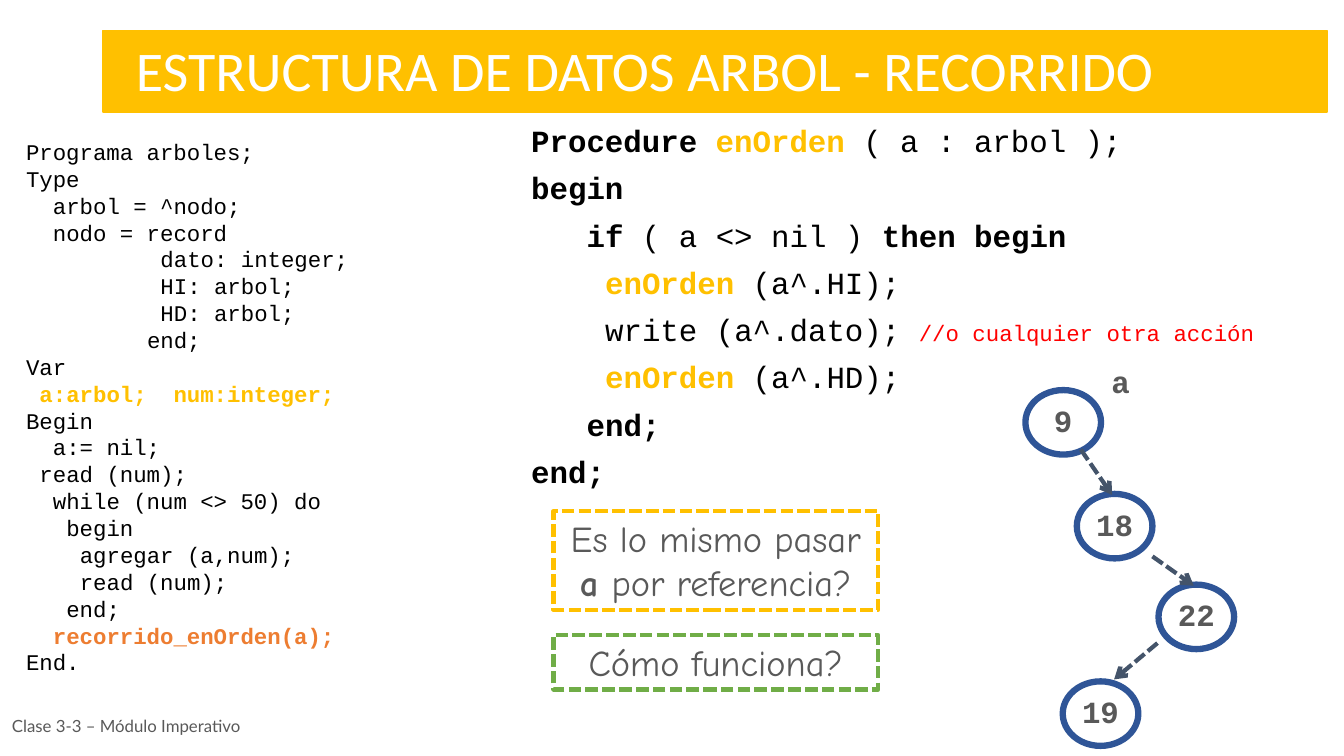
from lxml import etree
from pptx import Presentation
from pptx import util as u
from pptx.dml.color import RGBColor
from pptx.enum import dml, shapes, text
from pptx.oxml import ns

PX = 9144  # 100 px to the inch
WHITE = RGBColor(0xFF, 0xFF, 0xFF)
BLACK = RGBColor(0, 0, 0)
GRAY = RGBColor(0x59, 0x59, 0x59)
GOLD = RGBColor(0xFF, 0xC0, 0x00)
ORANGE = RGBColor(0xED, 0x7D, 0x31)
RED = RGBColor(0xFF, 0, 0)
GREEN = RGBColor(0x70, 0xAD, 0x47)
NAVY = RGBColor(0x2F, 0x55, 0x97)
SLATE = RGBColor(0x44, 0x54, 0x6A)
CODE_FONT = "Courier New"
CHARACTER_WIDTH = 0.6  # Courier New advance, in ems
ALIGN = text.PP_ALIGN

# Each code line: indent in characters, then runs (text, format changes)
GOLD_BOLD = {"color": GOLD, "bold": True}
BOLD = {"bold": True}
PROGRAM = [
    (0, [("Programa arboles;", {})]),
    (0, [("Type", {})]),
    (2, [("arbol = ^nodo;", {})]),
    (2, [("nodo = record", {})]),
    (10, [("dato: integer;", {})]),
    (10, [("HI: arbol;", {})]),
    (10, [("HD: arbol;", {})]),
    (9, [("end;", {})]),
    (0, [("Var", {})]),
    (1, [("a:arbol;  num:integer;", GOLD_BOLD)]),
    (0, [("Begin", {})]),
    (2, [("a:= nil;", {})]),
    (1, [("read (num);", {})]),
    (2, [("while (num <> 50) do", {})]),
    (3, [("begin", {})]),
    (4, [("agregar (a,num);", {})]),
    (4, [("read (num);", {})]),
    (3, [("end;", {})]),
    (2, [("recorrido_enOrden(a);", {"color": ORANGE, "bold": True})]),
    (0, [("End.", {})]),
]
PROCEDURE = [
    (0, [("Procedure ", BOLD), ("enOrden", GOLD_BOLD), (" ( a : arbol );", {})]),
    (0, [("begin", BOLD)]),
    (3, [("if", BOLD), (" ( a <> nil ) ", {}), ("then begin", BOLD)]),
    (4, [("enOrden", GOLD_BOLD), (" (a^.HI);", {})]),
    (4, [("write (a^.dato); ", {}),
         ("//o cualquier otra acción", {"color": RED, "size": 16})]),
    (4, [("enOrden", GOLD_BOLD), (" (a^.HD);", {})]),
    (3, [("end;", BOLD)]),
    (0, [("end;", BOLD)]),
]
NODES = [("9", 0, 28), ("18", 51, 131), ("22", 132, 221), ("19", 37, 317)]
LINKS = [(55, 87, 86, 132), (126, 193, 167, 222), (131, 279, 88, 315)]


def emu(*lengths):
    return [u.Emu(length * PX) for length in lengths]


def write(shape, lines, font, size, color, anchor=text.MSO_ANCHOR.TOP, **paragraph_format):
    """Fill a shape with lines of (indent in characters, runs)."""
    frame = shape.text_frame
    frame.word_wrap = True
    frame.vertical_anchor = anchor
    for index, (indent, runs) in enumerate(lines):
        paragraph = frame.paragraphs[0] if index == 0 else frame.add_paragraph()
        for name, value in paragraph_format.items():
            if index or name != "space_before":
                setattr(paragraph, name, value)
        if indent:
            margin = u.Pt(indent * size * CHARACTER_WIDTH)
            paragraph._p.get_or_add_pPr().set("marL", str(margin))
        for words, changes in runs:
            run = paragraph.add_run()
            run.text = words
            style = {"name": font, "size": size, "bold": False, "color": color} | changes
            run.font.color.rgb = style.pop("color")
            style["size"] = u.Pt(style["size"])
            for name, value in style.items():
                setattr(run.font, name, value)


def add_text(slide, box, lines, *style, **options):
    write(slide.shapes.add_textbox(*emu(*box)), lines, *style, **options)


def add_outline(slide, kind, box, color, width):
    shape = slide.shapes.add_shape(kind, *emu(*box))
    shape.shadow.inherit = False
    shape.fill.background()
    shape.line.color.rgb = color
    shape.line.width = u.Pt(width)
    return shape


def add_title(slide, box):
    left, top, width, height = box
    bar = add_outline(slide, shapes.MSO_SHAPE.RECTANGLE, box, GOLD, 1)
    bar.fill.solid()
    bar.fill.fore_color.rgb = GOLD
    add_text(slide, (left + 23, top, width - 48, height - 4),
             [(0, [("ESTRUCTURA DE DATOS ARBOL - RECORRIDO", {})])], "Calibri", 40, WHITE)


def add_question(slide, box, color, runs):
    shape = add_outline(slide, shapes.MSO_SHAPE.RECTANGLE, box, color, 3)
    shape.line.dash_style = dml.MSO_LINE.SQUARE_DOT
    write(shape, [(0, runs)], "Comic Neue", 26, GRAY, alignment=ALIGN.CENTER)


def add_link(slide, start_x, start_y, end_x, end_y):
    """Dashed arrow from a parent node to its child."""
    link = slide.shapes.add_connector(shapes.MSO_CONNECTOR.STRAIGHT,
                                      *emu(start_x, start_y, end_x, end_y))
    link.line.color.rgb = SLATE
    link.line.width = u.Pt(3)
    link.line.dash_style = dml.MSO_LINE.SQUARE_DOT
    etree.SubElement(link.line._get_or_add_ln(), ns.qn("a:tailEnd"), type="arrow")
    etree.SubElement(link._element.spPr, ns.qn("a:effectLst"))


def add_tree(slide, left, top):
    style = {"alignment": ALIGN.CENTER, "line_spacing": 0.9}
    add_text(slide, (left + 58, top, 73, 49), [(0, [("a", BOLD)])],
             CODE_FONT, 22, GRAY, **style)
    for value, x, y in NODES:
        node = add_outline(slide, shapes.MSO_SHAPE.OVAL, (left + x, top + y, 75, 64), NAVY, 4.5)
        for side in ("left", "top", "right", "bottom"):
            setattr(node.text_frame, f"margin_{side}", 0)
        write(node, [(0, [(value, BOLD)])], CODE_FONT, 22, GRAY,
              text.MSO_ANCHOR.MIDDLE, **style)
    for start_x, start_y, end_x, end_y in LINKS:
        add_link(slide, left + start_x, top + start_y, left + end_x, top + end_y)


def main():
    presentation = Presentation()
    presentation.slide_width, presentation.slide_height = emu(1333, 750)
    slide = presentation.slides.add_slide(presentation.slide_layouts[6])
    add_text(slide, (2, 698, 297, 45), [(0, [("Clase 3-3 – Módulo Imperativo", {})])],
             "Lato", 12, GRAY, text.MSO_ANCHOR.MIDDLE)
    add_title(slide, (102, 30, 1214, 81))
    add_text(slide, (16, 132, 388, 549), PROGRAM, CODE_FONT, 16, BLACK,
             alignment=ALIGN.JUSTIFY)
    add_text(slide, (517, 120, 758, 378), PROCEDURE, CODE_FONT, 22, BLACK,
             line_spacing=0.9, space_before=u.Pt(10))
    add_question(slide, (549, 507, 322, 98), GOLD,
                 [("Es lo mismo pasar ", {}), ("a ", BOLD), ("por referencia?", {})])
    add_question(slide, (549, 630, 322, 54), GREEN, [("Cómo funciona?", {})])
    add_tree(slide, 1017, 359)
    presentation.save("out.pptx")


if __name__ == "__main__":
    main()
